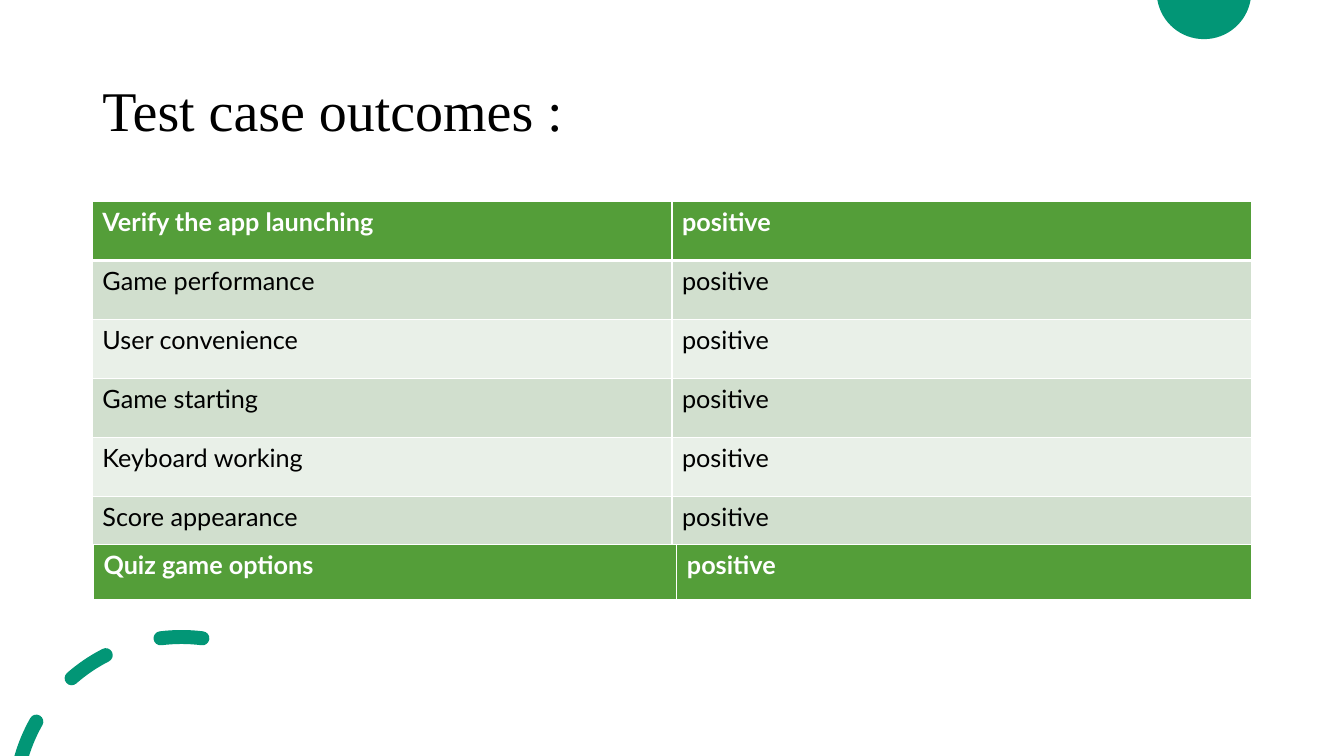
from math import acos, cos, degrees, radians, sin, tan

from lxml.etree import SubElement
from pptx import Presentation
from pptx.dml.color import RGBColor
from pptx.enum.text import MSO_ANCHOR as Anchor, PP_ALIGN as Align
from pptx.oxml.ns import qn
from pptx.util import Pt

TITLE = "Test case outcomes :"
OUTCOMES = [
    ("Verify the app launching", "positive"),
    ("Game performance", "positive"),
    ("User convenience", "positive"),
    ("Game starting", "positive"),
    ("Keyboard working", "positive"),
    ("Score appearance", "positive"),
]
LAST_OUTCOME = [("Quiz game options", "positive")]

COLORS = {
    "accent": "029676",
    "header": "549E39",
    "band_dark": "D1DFCE",
    "band_light": "E9F0E8",
    "black": "000000",
    "white": "FFFFFF",
}
PAGE_WIDTH, PAGE_HEIGHT = 960, 540
TITLE_BOX = {"left": 66, "top": 28.8, "width": 828, "height": 104.4}
TABLES = [
    {"rows": OUTCOMES, "left": 66, "top": 144, "columns": (414, 414), "row_height": 42.12},
    {"rows": LAST_OUTCOME, "left": 66.8, "top": 389.2, "columns": (416.7, 410.4), "row_height": 40},
]
DISC = {"center": (860, -5.8), "radius": 33.8}
RING = {"center": (129.6, 574.1), "radius": 119.1, "half_width": 5}
DASHES = [(-7.2, 7.2), (27, 41.2)]
CUT_DASH_START = 60.5


def color(name):
    return RGBColor.from_string(COLORS[name])


def format_text(span, **values):
    span.font.color.rgb = color(values.pop("color"))
    for name, value in values.items():
        setattr(span.font, name, value)


def arc(center, radius, start, end):
    middle = (start + end) / 2
    reach = radius * 4 / 3 * tan(radians(end - start) / 8)

    def at(angle, pull=0):
        a = radians(angle)
        return (
            Pt(center[0] - radius * sin(a) - pull * cos(a)),
            Pt(center[1] - radius * cos(a) + pull * sin(a)),
        )

    curves = [(at(a, reach), at(b, -reach), at(b)) for a, b in ((start, middle), (middle, end))]
    return at(start), curves


def dash_arcs(start, end):
    center, radius, half = RING["center"], RING["radius"], RING["half_width"]
    outer, inner = radius + half, radius - half
    outer_end = inner_end = end
    if end is None:
        outer_end, inner_end = (degrees(acos((center[1] - PAGE_HEIGHT) / r)) for r in (outer, inner))

    def cap(angle, turn):
        a = radians(angle)
        middle = (center[0] - radius * sin(a), center[1] - radius * cos(a))
        return arc(middle, half, turn, turn + 180)

    end_cap = [] if end is None else [cap(end, end)]
    return [
        arc(center, outer, start, outer_end),
        *end_cap,
        arc(center, inner, inner_end, start),
        cap(start, start + 180),
    ]


def add_outlines(page, outlines):
    builder = page.shapes.build_freeform(*outlines[0][0][0])
    controls = []
    for index, arcs in enumerate(outlines):
        current = arcs[0][0]
        if index:
            builder.move_to(*current)
        points = []
        for start, curves in arcs:
            if max(abs(a - b) for a, b in zip(start, current)) > Pt(0.1):
                points.append(start)
                controls.append(None)
            for first, second, current in curves:
                points.append(current)
                controls.append((first, second))
        builder.add_line_segments(points, close=True)
    shape = builder.convert_to_shape()
    for segment, handles in zip(list(shape.element.iter(qn("a:lnTo"))), controls):
        if handles:
            segment.tag = qn("a:cubicBezTo")
            for position, (x, y) in enumerate(handles):
                handle = SubElement(segment, qn("a:pt"), x=str(x - shape.left), y=str(y - shape.top))
                segment.insert(position, handle)
    shape.shadow.inherit = False
    shape.fill.solid()
    shape.fill.fore_color.rgb = color("accent")
    shape.line.fill.background()


def add_borders(cell, widths):
    properties = cell._tc.get_or_add_tcPr()
    for position, (side, width) in enumerate(widths.items()):
        line = SubElement(properties, qn(f"a:ln{side}"), w=str(Pt(width)))
        fill = SubElement(line, qn("a:solidFill"))
        SubElement(fill, qn("a:srgbClr"), val=COLORS["white"])
        properties.insert(position, line)


def add_outcome_table(page, rows, left, top, columns, row_height):
    table = page.shapes.add_table(
        len(rows), len(columns), Pt(left), Pt(top), Pt(sum(columns)), Pt(row_height * len(rows))
    ).table
    for column, width in zip(table.columns, columns):
        column.width = Pt(width)
    for row_index, texts in enumerate(rows):
        table.rows[row_index].height = Pt(row_height)
        is_header = row_index == 0
        band = "band_dark" if row_index % 2 else "band_light"
        for column_index, text in enumerate(texts):
            cell = table.cell(row_index, column_index)
            cell.fill.solid()
            cell.fill.fore_color.rgb = color("header" if is_header else band)
            add_borders(cell, {"L": 1, "R": 1, "T": 3 if row_index == 1 else 1, "B": 3 if is_header else 1})
            span = cell.text_frame.paragraphs[0].add_run()
            span.text = text
            format_text(span, name="Lato", size=Pt(18), bold=is_header,
                        color="white" if is_header else "black")


def add_title(page):
    title = page.shapes.title
    for name, value in TITLE_BOX.items():
        setattr(title, name, Pt(value))
    title.text_frame.vertical_anchor = Anchor.MIDDLE
    title.text_frame.word_wrap = True
    para = title.text_frame.paragraphs[0]
    para.alignment = Align.LEFT
    para.line_spacing = 0.9
    span = para.add_run()
    span.text = TITLE
    format_text(span, name="Times New Roman", size=Pt(40), color="black")


def main():
    deck = Presentation()
    deck.slide_width, deck.slide_height = Pt(PAGE_WIDTH), Pt(PAGE_HEIGHT)
    page = deck.slides.add_slide(deck.slide_layouts[5])
    half_angle = degrees(acos(-DISC["center"][1] / DISC["radius"]))
    add_outlines(page, [[arc(DISC["center"], DISC["radius"], 180 - half_angle, 180 + half_angle)]])
    add_outlines(page, [dash_arcs(*dash) for dash in [(CUT_DASH_START, None), *DASHES]])
    add_title(page)
    for table in TABLES:
        add_outcome_table(page, **table)
    deck.save("out.pptx")


if __name__ == "__main__":
    main()
